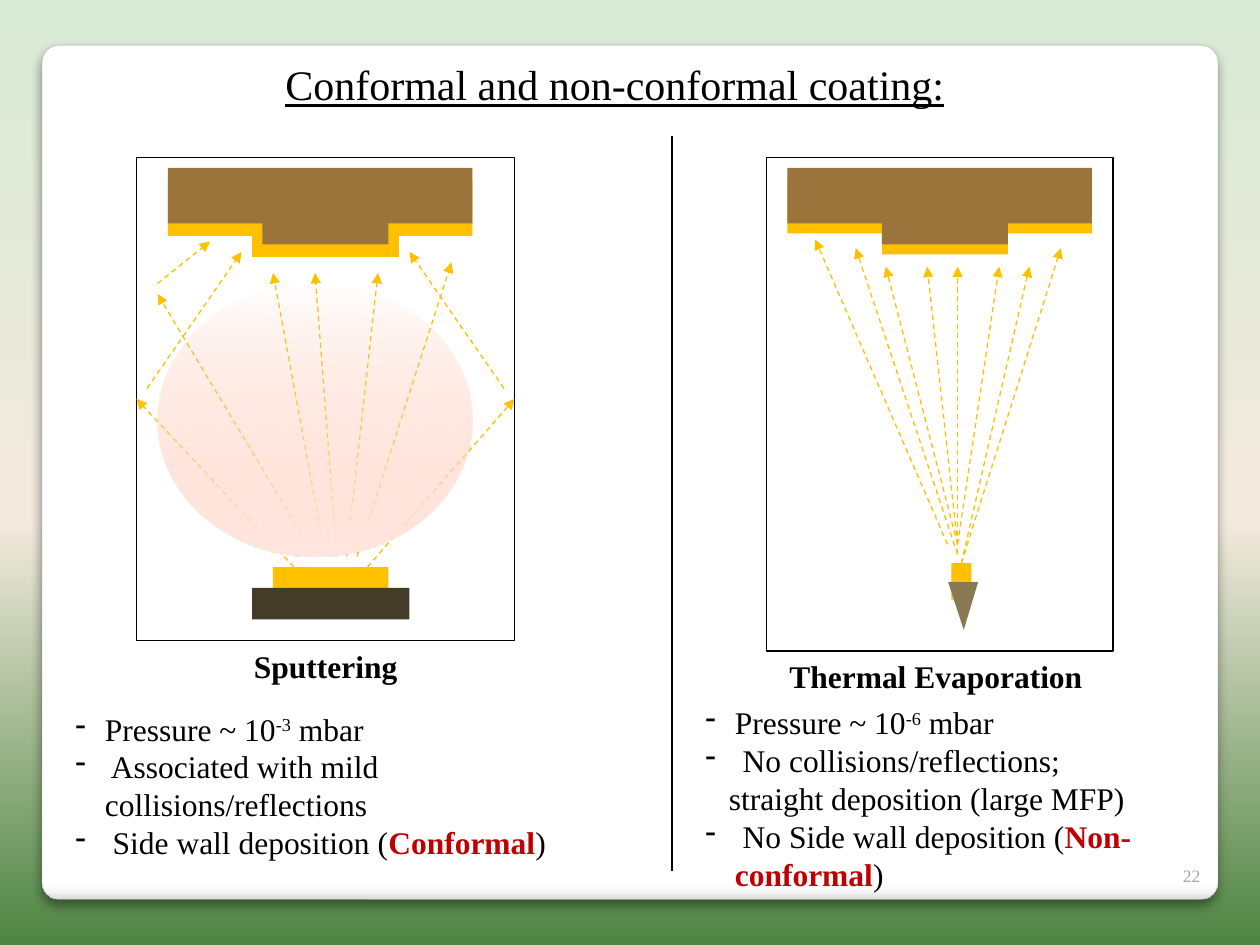
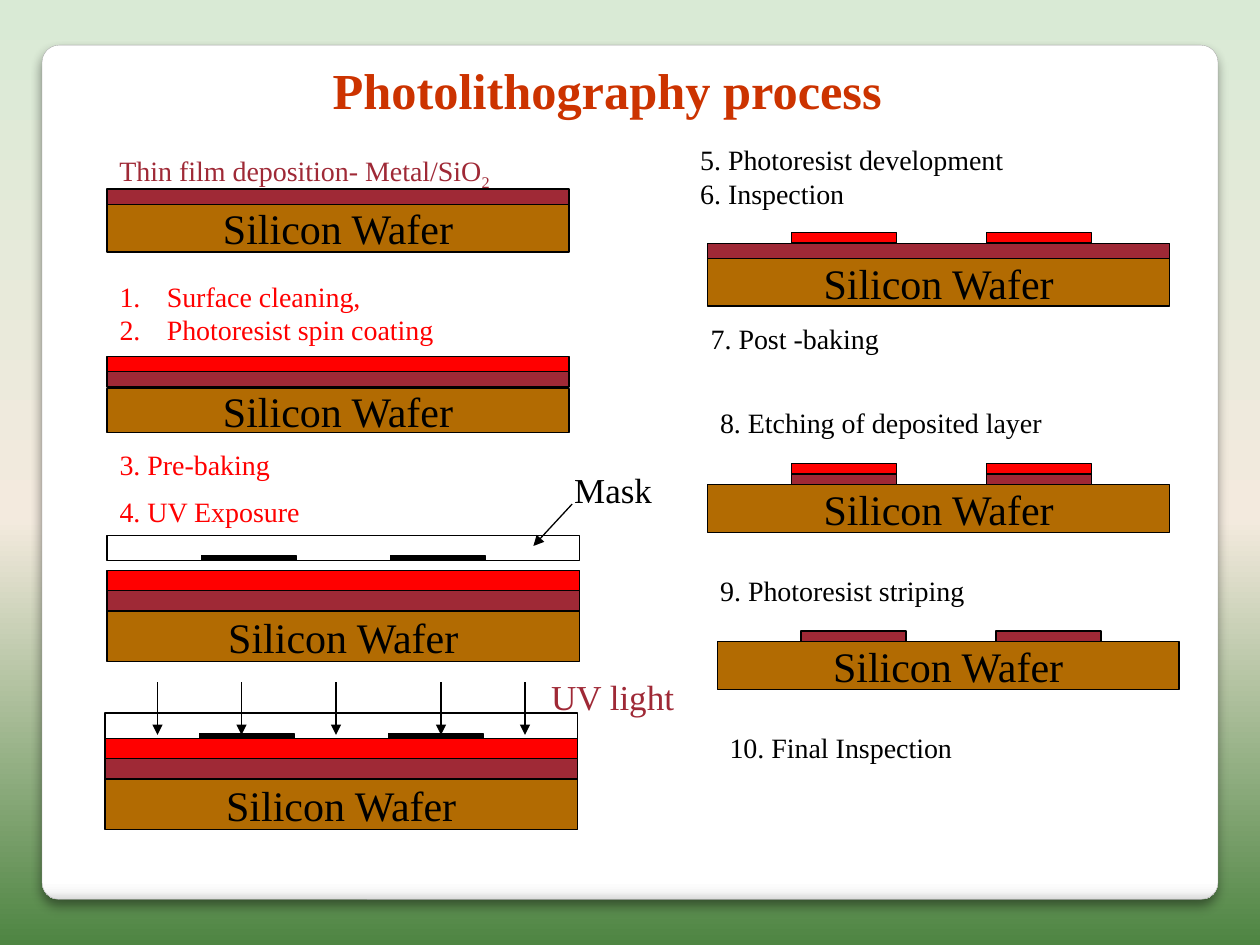
from dataclasses import dataclass
from typing import NamedTuple, Optional

import pptx
import pptx.dml.color
import pptx.enum.dml
import pptx.enum.shapes
import pptx.enum.text
import pptx.oxml
import pptx.oxml.ns
import pptx.util

COLS, ROWS = 120, 90
WIDTH, HEIGHT = pptx.util.Inches(10), pptx.util.Inches(7.5)
KIND = pptx.enum.shapes.MSO_SHAPE
ALIGN = pptx.enum.text.PP_ALIGN
ANCHOR = pptx.enum.text.MSO_ANCHOR
AUTO = pptx.enum.text.MSO_AUTO_SIZE


@dataclass(frozen=True)
class Theme:
    font: str = "Times New Roman"
    ink: str = "000000"
    accent: str = "C00000"
    title: str = "CC3300"
    muted: str = "A8A49B"
    panel_edge: str = "A4A4A4"
    gold: str = "FFC000"
    substrate: str = "9A743A"
    cathode: str = "443C29"
    boat: str = "887952"
    wafer: str = "B26B02"
    metal: str = "9F2936"
    resist: str = "FF0000"
    backdrop: tuple = ((0, "4E8542", 100), (45, "F3EADE", 100), (100, "D9EAD5", 100))
    panel: tuple = ((0, "FFFFFF", 100), (98, "FFFFFF", 100), (99, "F7F7F7", 100), (100, "DADADA", 100))
    plasma: tuple = ((0, "FFB496", 0), (50, "FFD0BF", 46), (100, "FFE7E0", 100))
    hairline: float = 0.75
    page: float = 10
    step: float = 16
    body: float = 18
    callout: float = 20
    heading: float = 24
    headline: float = 28.8


T = Theme()


class Box(NamedTuple):
    col: float
    row: float
    w: float
    h: float


class Run(NamedTuple):
    text: str
    bold: bool = False
    color: Optional[str] = None
    baseline: int = 0


class Para(NamedTuple):
    runs: tuple
    bullet: str = ""
    margin: float = 0
    hang: float = 0


class Arrow(NamedTuple):
    x1: float
    y1: float
    x2: float
    y2: float
    frame_side: Optional[int] = None


class Label(NamedTuple):
    box: Box
    lines: tuple
    color: str = T.ink
    size: float = T.step
    wrap: bool = False


@dataclass(frozen=True)
class WaferStack:
    col: float
    row: float
    width: float = 44
    depth: float = 4.55
    films: tuple = ()
    film_depth: float = 1.44
    gap: float = 0
    islands: tuple = ()
    mask_gap: Optional[float] = None


def x(cols: float) -> int:
    return round(WIDTH * cols / COLS)


def y(rows: float) -> int:
    return round(HEIGHT * rows / ROWS)


def place(box: Box) -> tuple:
    return x(box.col), y(box.row), x(box.w), y(box.h)


def rgb(color: str):
    return pptx.dml.color.RGBColor.from_string(color)


def xml(markup: str):
    head, tail = markup.split(">", 1)
    slash = "/" if head.endswith("/") else ""
    return pptx.oxml.parse_xml(f"{head.rstrip('/')} {pptx.oxml.ns.nsdecls('a')}{slash}>{tail}")


def set_gradient(fill, parent, stops: tuple, angle: int) -> None:
    fill.solid()
    gs = "".join(f'<a:gs pos="{pos * 1000}"><a:srgbClr val="{c}"><a:alpha val="{alpha * 1000}"/>'
                 f"</a:srgbClr></a:gs>" for pos, c, alpha in stops)
    solid = parent.find(pptx.oxml.ns.qn("a:solidFill"))
    parent.replace(solid, xml(f'<a:gradFill rotWithShape="1"><a:gsLst>{gs}</a:gsLst>'
                              f'<a:lin ang="{angle * 60000}" scaled="0"/></a:gradFill>'))


def add_text(target, paras, size: float = T.body, color: str = T.ink, bold: bool = False,
             underline: bool = False, align=ALIGN.LEFT, anchor=ANCHOR.TOP,
             wrap: bool = False, grow: bool = True) -> None:
    tf = target.text_frame
    tf.word_wrap = wrap
    tf.auto_size = AUTO.SHAPE_TO_FIT_TEXT if grow else AUTO.NONE
    tf.vertical_anchor = anchor
    for i, item in enumerate(paras):
        para = item if isinstance(item, Para) else Para((item,))
        p = tf.paragraphs[0] if i == 0 else tf.add_paragraph()
        p.alignment = align
        pPr = p._p.get_or_add_pPr()
        pPr.set("marL", str(x(para.margin)))
        pPr.set("indent", str(-x(para.hang)))
        if para.bullet:
            tag = "buChar char" if para.bullet == "-" else "buAutoNum type"
            pPr.append(xml(f'<a:{tag}="{para.bullet}"/>'))
        for part in para.runs:
            run = part if isinstance(part, Run) else Run(part)
            r = p.add_run()
            r.text = run.text
            r.font.name, r.font.size = T.font, pptx.util.Pt(size)
            r.font.bold, r.font.underline = bold or run.bold, underline
            r.font.color.rgb = rgb(run.color or color)
            if run.baseline:
                r._r.get_or_add_rPr().set("baseline", str(run.baseline * 1000))


def text_box(s, box: Box, *paras, **fmt) -> None:
    add_text(s.shapes.add_textbox(*place(box)), paras, **fmt)


def add_shape(s, box: Box, fill: Optional[str] = None, line: Optional[str] = None,
              kind=KIND.RECTANGLE, weight: float = T.hairline):
    sp = s.shapes.add_shape(kind, *place(box))
    sp.shadow.inherit = False
    if fill:
        sp.fill.solid()
        sp.fill.fore_color.rgb = rgb(fill)
    else:
        sp.fill.background()
    if line:
        sp.line.color.rgb = rgb(line)
        sp.line.width = pptx.util.Pt(weight)
    else:
        sp.line.fill.background()
    return sp


def add_line(s, arrow: Arrow, color: str = T.ink, dashed: bool = False, head: bool = True, frame=None) -> None:
    c = s.shapes.add_connector(pptx.enum.shapes.MSO_CONNECTOR.STRAIGHT,
                               x(arrow.x1), y(arrow.y1), x(arrow.x2), y(arrow.y2))
    if arrow.frame_side is not None:
        c.end_connect(frame, arrow.frame_side)
    c.line.color.rgb = rgb(color)
    c.line.width = pptx.util.Pt(T.hairline)
    if dashed:
        c.line.dash_style = pptx.enum.dml.MSO_LINE.DASH
    if head:
        c.line._get_or_add_ln().append(xml('<a:tailEnd type="triangle"/>'))
    c._element.spPr.append(xml("<a:effectLst/>"))


def add_slide(prs):
    s = prs.slides.add_slide(prs.slide_layouts[6])
    panel = add_shape(s, Box(4, 4.3, 112, 81.36), line=T.panel_edge, kind=KIND.ROUNDED_RECTANGLE, weight=0.16)
    panel.adjustments[0] = 0.02
    spPr = panel._element.spPr
    set_gradient(panel.fill, spPr, T.panel, 90)
    spPr.find(pptx.oxml.ns.qn("a:effectLst")).append(xml(
        '<a:outerShdw blurRad="76200" dist="50800" dir="5400000" algn="tl" rotWithShape="0">'
        '<a:srgbClr val="000000"><a:alpha val="44000"/></a:srgbClr></a:outerShdw>'))
    return s


def draw_substrate(s, col: float, drop: float, spread: float) -> None:
    for fill, sink, side in ((T.gold, drop, spread), (T.substrate, 0, 0)):
        add_shape(s, Box(col, 16 + sink, 29, 5.28), fill)
        add_shape(s, Box(col + 9 - side, 18 + sink, 12 + 2 * side, 5.28), fill)


def draw_stack(s, stack: WaferStack) -> None:
    wafer = add_shape(s, Box(stack.col, stack.row, stack.width, stack.depth), T.wafer, T.ink)
    add_text(wafer, ["Silicon Wafer"], size=T.heading, align=ALIGN.CENTER, anchor=ANCHOR.MIDDLE, grow=False)
    top = stack.row - stack.gap
    for film in stack.films:
        top -= stack.film_depth
        add_shape(s, Box(stack.col, top, stack.width, stack.film_depth), film, T.ink)
    for level, island in enumerate(stack.islands, 1):
        for offset in (8, 26.55):
            add_shape(s, Box(stack.col + offset, top - level, 10, 1), island, T.ink)
    if stack.mask_gap is not None:
        bottom = top - stack.mask_gap
        add_shape(s, Box(stack.col, bottom - 2.4, stack.width, 2.4), line=T.ink)
        for offset in (9, 27):
            add_shape(s, Box(stack.col + offset, bottom - 0.48, 9, 0.48), T.ink, T.ink)


SPUTTER_ARROWS = (
    Arrow(28, 54, 13, 38, 1), Arrow(14, 37, 23, 24), Arrow(35, 54, 49, 38, 3), Arrow(48, 37, 39, 24),
    Arrow(30, 53, 15, 28), Arrow(15, 27, 20, 23), Arrow(34, 53, 43, 25), Arrow(31, 53, 26, 26),
    Arrow(33, 53, 36, 26), Arrow(32, 52, 30, 26),
)
VAPOUR_ARROWS = (
    Arrow(90.24, 51.84, 77.64, 22.8), Arrow(91.2, 52.8, 81.5, 23.64), Arrow(91.2, 51.84, 84.36, 25.4),
    Arrow(91.2, 51.84, 88.3, 25.4), Arrow(91.2, 52.8, 91.2, 25.4), Arrow(91.2, 51.84, 95.16, 25.4),
    Arrow(91.56, 53.64, 98.04, 25.4), Arrow(91.56, 53.64, 101.04, 23.64),
)


def dash(*runs) -> Para:
    return Para(runs, "-", 2.81, 2.81)


def pressure(exponent: str) -> Para:
    return dash("Pressure ~ 10", Run(exponent, baseline=30), " mbar")


def coating_slide(prs) -> None:
    s = add_slide(prs)
    text_box(s, Box(109.5, 80.2, 6, 4.8), "22", size=T.page, color=T.muted,
             align=ALIGN.RIGHT, anchor=ANCHOR.BOTTOM, wrap=True, grow=False)
    text_box(s, Box(26, 5, 65.8, 6), "Conformal and non-conformal coating:", size=T.heading, underline=True)
    add_line(s, Arrow(64, 13, 64, 83), head=False)

    draw_substrate(s, 16, 1.2, 1)
    add_shape(s, Box(26, 54, 11, 3), T.gold)
    add_shape(s, Box(24, 56, 15, 3), T.cathode)
    frame = add_shape(s, Box(13, 15, 36, 46), line=T.ink)
    for arrow in SPUTTER_ARROWS:
        add_line(s, arrow, T.gold, dashed=True, frame=frame)
    plasma = add_shape(s, Box(15, 27, 30, 26), kind=KIND.OVAL)
    set_gradient(plasma.fill, plasma._element.spPr, T.plasma, 90)

    draw_substrate(s, 75, 0.95, 0)
    add_shape(s, Box(90.6, 53.64, 1.92, 3.48), T.gold)
    boat = add_shape(s, Box(90.3, 55.44, 2.85, 4.56), T.boat, kind=KIND.ISOSCELES_TRIANGLE)
    boat.rotation = 180
    boat.adjustments[0] = 0.48
    for arrow in VAPOUR_ARROWS:
        add_line(s, arrow, T.gold, dashed=True)
    add_shape(s, Box(73, 15, 33, 47), line=T.ink)

    text_box(s, Box(23, 61, 16.2, 4.8), "Sputtering", bold=True)
    text_box(s, Box(74, 62, 30.6, 4.8), "Thermal Evaporation", bold=True)
    text_box(s, Box(6, 67, 55, 15.6), pressure("-3"),
             dash(" Associated with mild collisions/reflections"),
             dash(" Side wall deposition (", Run("Conformal", True, T.accent), ")"), wrap=True)
    text_box(s, Box(66, 66.4, 49, 19.4), pressure("-6"),
             dash(" No collisions/reflections;"),
             Para(("straight deposition (large MFP)",), margin=2.25),
             dash(" No Side wall deposition (", Run("Non-conformal", True, T.accent), ")"), wrap=True)


RESIST_ON_METAL = (T.metal, T.resist)
STACKS = (
    WaferStack(10.2, 19.45, films=(T.metal,)),
    WaferStack(10.2, 37, depth=4.2, films=RESIST_ON_METAL, gap=0.15),
    WaferStack(10.2, 58.2, 45, 4.8, RESIST_ON_METAL, 1.94, mask_gap=0.95),
    WaferStack(10, 74.2, 45, 4.8, RESIST_ON_METAL, 1.94, mask_gap=0),
    WaferStack(67.4, 24.6, films=(T.metal,), islands=(T.resist,)),
    WaferStack(67.4, 46.15, islands=RESIST_ON_METAL),
    WaferStack(68.3, 61.1, islands=(T.metal,)),
)


def numbered(text: str) -> Para:
    return Para((text,), "arabicPeriod", 4.5, 4.5)


LABELS = (
    Label(Box(10.2, 14, 38.4, 4.44), (Para(("Thin film deposition- Metal/SiO", Run("2", baseline=-25))),), T.metal),
    Label(Box(10.2, 26, 32.8, 7.68), (numbered("Surface cleaning,"), numbered("Photoresist spin coating")), T.resist),
    Label(Box(10.2, 42, 16.9, 4.44), ("3. Pre-baking",), T.resist),
    Label(Box(10.2, 46.5, 19.8, 4.44), ("4. UV Exposure",), T.resist),
    Label(Box(53.5, 44, 9.84, 5.28), ("Mask",), size=T.callout),
    Label(Box(51.3, 63.7, 14.3, 5.28), ("UV light",), T.metal, T.callout),
    Label(Box(65.5, 13, 48, 7.68), ("5. Photoresist development", "6. Inspection"), wrap=True),
    Label(Box(66.5, 30, 18.7, 4.44), ("7. Post -baking",)),
    Label(Box(67.4, 38, 35, 4.44), ("8. Etching of deposited layer",), wrap=True),
    Label(Box(67.4, 54, 34, 4.44), ("9. Photoresist striping",), wrap=True),
    Label(Box(68.3, 69, 24, 4.44), ("10. Final Inspection",)),
)


def lithography_slide(prs) -> None:
    s = add_slide(prs)
    text_box(s, Box(30.5, 5, 69.2, 7), "Photolithography process", size=T.headline, color=T.title,
             bold=True, anchor=ANCHOR.BOTTOM, wrap=True, grow=False)
    for stack in STACKS:
        draw_stack(s, stack)
    for label in LABELS:
        text_box(s, label.box, *label.lines, size=label.size, color=label.color, wrap=label.wrap)
    for col in (15, 23, 32, 42, 50):
        add_line(s, Arrow(col, 65, col, 70))
    add_line(s, Arrow(54.5, 48, 50.8, 52))


def main() -> None:
    prs = pptx.Presentation()
    prs.slide_width, prs.slide_height = WIDTH, HEIGHT
    master = prs.slide_master
    fill = master.background.fill
    fill.solid()
    bgPr = master._element.cSld.bg.bgPr
    set_gradient(fill, bgPr, T.backdrop, 270)
    coating_slide(prs)
    lithography_slide(prs)
    prs.save("out.pptx")


if __name__ == "__main__":
    main()
